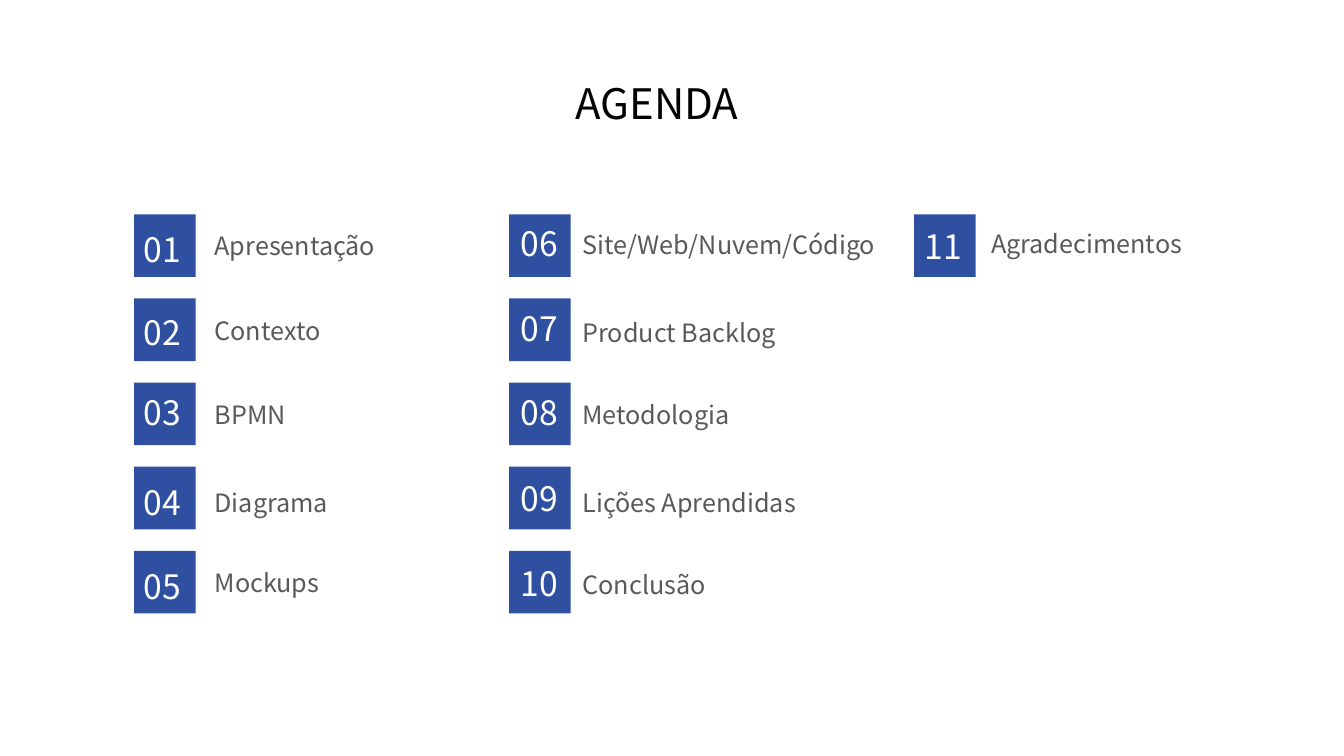
"""Build an agenda slide with eleven numbered topics in three columns."""
import pptx
import pptx.dml.color
import pptx.enum.shapes
import pptx.enum.text
import pptx.util

Cm = pptx.util.Cm
THEME = {
    "font": "Noto Sans CJK SC",
    "blue": "2F50A1",
    "title": {"size": 30, "color": "000000"},
    "number": {"size": 24, "color": "FFFFFF"},
    "label": {"size": 18, "color": "595959"},
}
SQUARE_WIDTH, SQUARE_HEIGHT = 1.55, 1.58
FIRST_TOP, ROW_STEP = 5.4, 2.12
COLUMNS = [
    {"square": 3.38, "number": 3.37, "label": 5.41, "topics": [
        ("Apresentação", 5.64, 5.81), ("Contexto", 7.72, 7.95), ("BPMN", 9.75, 10.07),
        ("Diagrama", 12.01, 12.27), ("Mockups", 14.14, 14.3)]},
    {"square": 12.83, "number": 12.87, "label": 14.68, "topics": [
        ("Site/Web/Nuvem/Código", 5.49, 5.79), ("Product Backlog", 7.64, 8.0),
        ("Metodologia", 9.75, 10.07), ("Lições Aprendidas", 11.91, 12.27),
        ("Conclusão", 14.06, 14.35)]},
    {"square": 23.04, "number": 23.06, "label": 24.98, "topics": [
        ("Agradecimentos", 5.56, 5.75)]},
]


def write(box, text, style, side_inset=0.0, top_inset=0.0):
    """Fill a box with one left-aligned line in a theme style."""
    frame = box.text_frame
    frame.text = text
    settings = {
        "word_wrap": True,
        "auto_size": pptx.enum.text.MSO_AUTO_SIZE.SHAPE_TO_FIT_TEXT,
        "vertical_anchor": pptx.enum.text.MSO_ANCHOR.TOP,
        "margin_left": Cm(side_inset), "margin_right": Cm(side_inset),
        "margin_top": Cm(top_inset), "margin_bottom": Cm(top_inset),
    }
    for name, value in settings.items():
        setattr(frame, name, value)
    para = frame.paragraphs[0]
    para.alignment = pptx.enum.text.PP_ALIGN.LEFT
    span = para.runs[0]
    span.font.name = THEME["font"]
    span.font.size = pptx.util.Pt(THEME[style]["size"])
    span.font.color.rgb = pptx.dml.color.RGBColor.from_string(THEME[style]["color"])


deck = pptx.Presentation()
deck.slide_width, deck.slide_height = Cm(33.87), Cm(19.05)
page = deck.slides.add_slide(deck.slide_layouts[5])

title = page.shapes.title
placement = {"left": 14.25, "top": 1.83, "width": 7.29, "height": 1.52}
for name, value in placement.items():
    setattr(title, name, Cm(value))
write(title, "AGENDA", "title", 0.25, 0.13)

position = 0
for column in COLUMNS:
    for row, (topic, number_top, label_top) in enumerate(column["topics"]):
        position += 1
        square = page.shapes.add_shape(
            pptx.enum.shapes.MSO_SHAPE.RECTANGLE,
            Cm(column["square"]), Cm(FIRST_TOP + row * ROW_STEP),
            Cm(SQUARE_WIDTH), Cm(SQUARE_HEIGHT))
        square.shadow.inherit = False
        square.fill.solid()
        square.fill.fore_color.rgb = pptx.dml.color.RGBColor.from_string(THEME["blue"])
        square.line.fill.background()

        number = page.shapes.add_textbox(
            Cm(column["number"]), Cm(number_top), Cm(SQUARE_WIDTH), Cm(1.28))
        write(number, f"{position:02}", "number", 0.25, 0.13)

        label = page.shapes.add_textbox(
            Cm(column["label"]), Cm(label_top), Cm(7.57), Cm(0.76))
        write(label, topic, "label")

deck.save("out.pptx")
